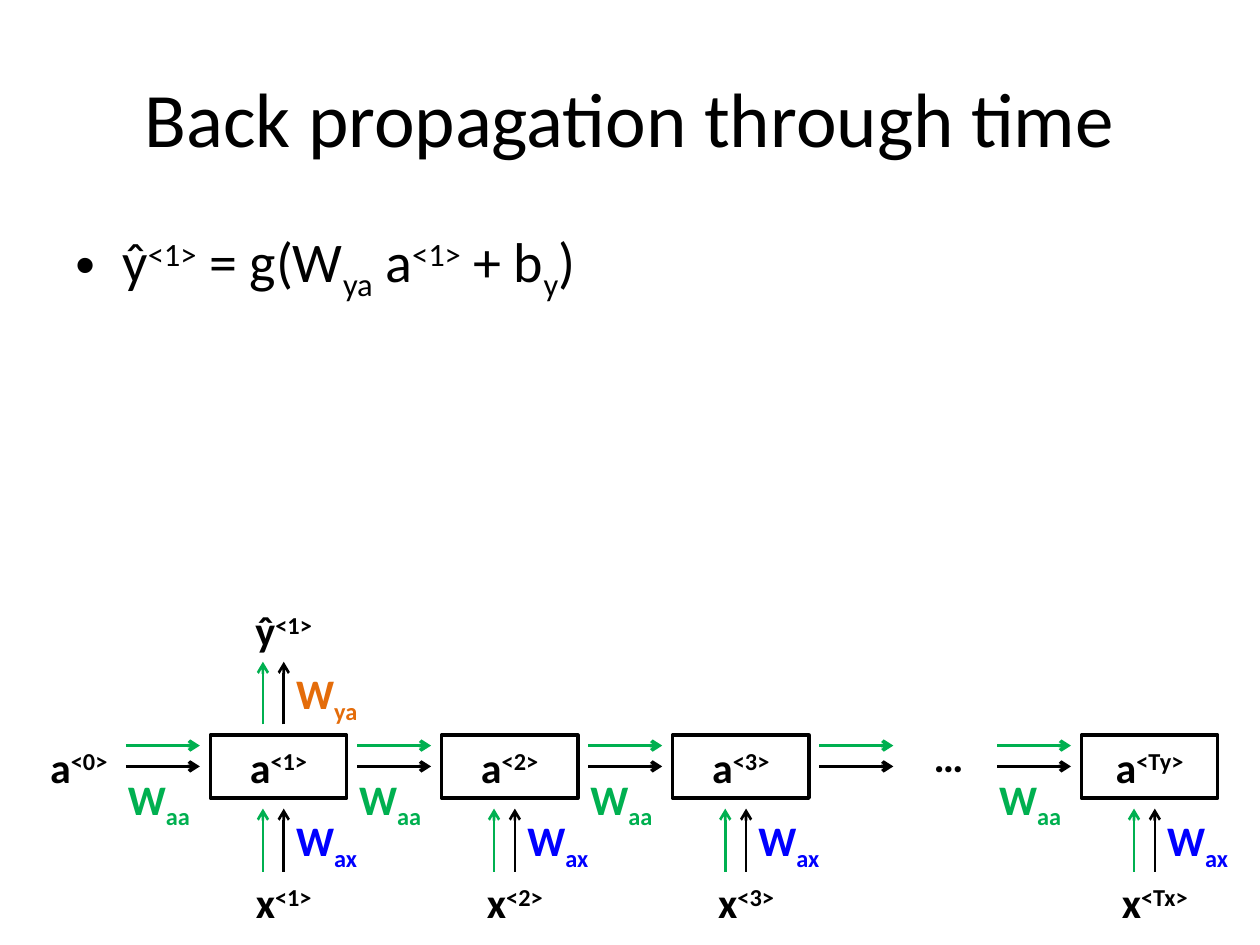
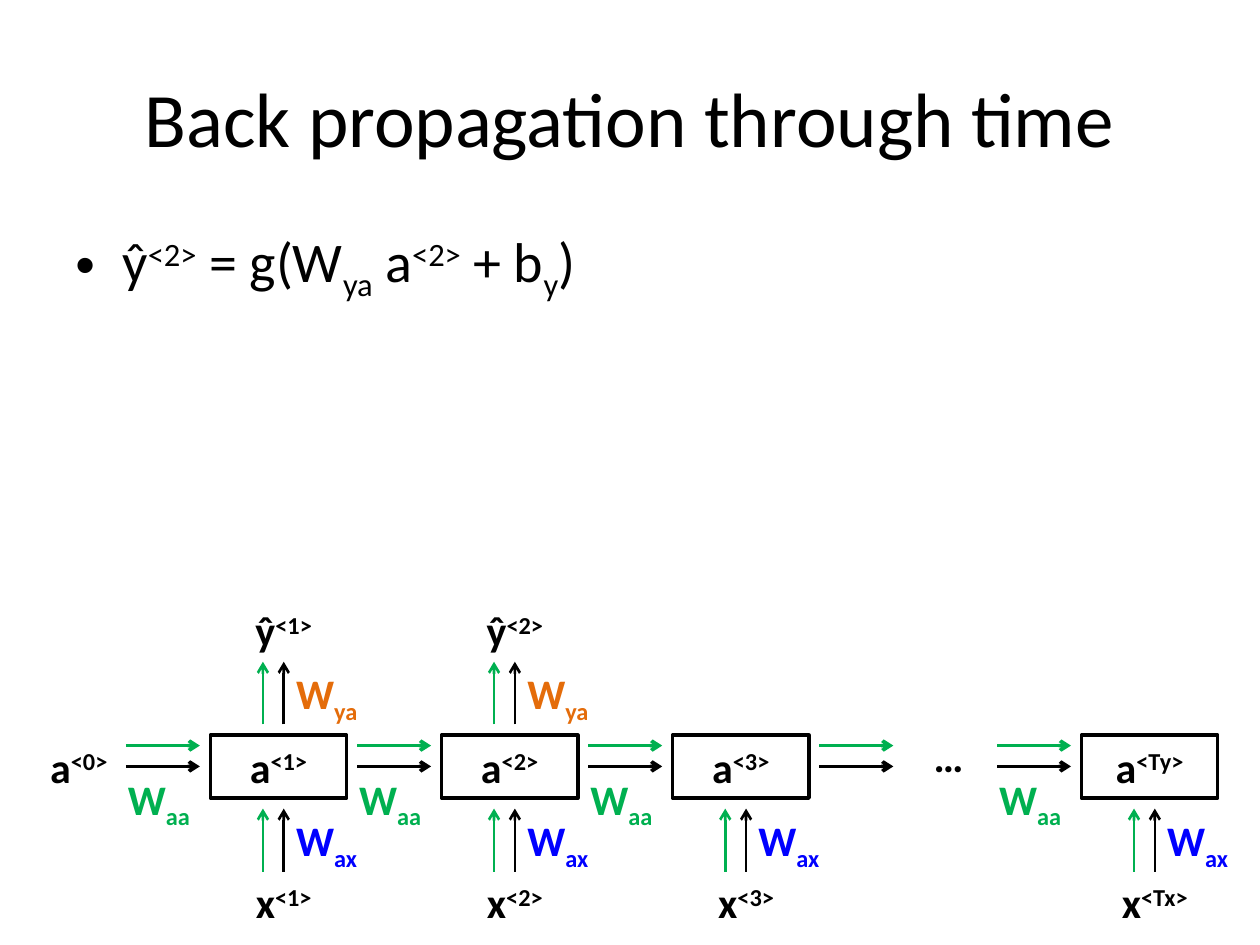
"""Build two slides on back propagation through time in a recurrent network."""
from lxml import etree
from pptx import Presentation
from pptx import util as u
from pptx.dml.color import RGBColor
from pptx.enum import shapes, text
from pptx.oxml import ns

TITLE = "Back propagation through time"
SLIDES = [{"step": "<1>", "outputs": 1}, {"step": "<2>", "outputs": 2}]
CELLS = [
    {"slot": 0, "state": "<1>", "input": "<1>"},
    {"slot": 1, "state": "<2>", "input": "<2>"},
    {"slot": 2, "state": "<3>", "input": "<3>"},
    {"slot": None, "state": "<Ty>", "input": "<Tx>"},
]
COLORS = {"ink": "000000", "forward": "00B050", "input": "0000FF", "output": "E46C0A"}
FONT = "Calibri"
SUPER, SUB = 30000, -25000

FIRST_AXIS, AXIS_STEP, LAST_AXIS = 5.72, 4.66, 23.28
LABEL_HEIGHT = 1.27
STATE_TOP, STATE_WIDTH = 14.82, 2.75
FLOW_TOP, FLOW_GAP = 15.03, 0.42
INPUT_FLOW, OUTPUT_FLOW = (17.57, 16.3), (14.6, 13.34)
INPUT_TOP, OUTPUT_TOP = 17.55, 12.07

CENTER, LEFT = text.PP_ALIGN.CENTER, text.PP_ALIGN.LEFT


def write(shape, runs, size, align, color="ink", bold=False):
    """Fill a shape's first paragraph with (text, baseline) runs."""
    frame = shape.text_frame
    frame.word_wrap = True
    paragraph = frame.paragraphs[0]
    paragraph.alignment = align
    for content, baseline in runs:
        run = paragraph.add_run()
        run.text = content
        run.font.name = FONT
        run.font.size = u.Pt(size)
        run.font.bold = bold
        run.font.color.rgb = RGBColor.from_string(COLORS[color])
        if baseline:
            run.font._element.set("baseline", str(baseline))
    return paragraph


def add_text(slide, left, top, width, height, runs, size, align, **style):
    """Add a text box and return its shape and paragraph."""
    shape = slide.shapes.add_textbox(u.Cm(left), u.Cm(top), u.Cm(width), u.Cm(height))
    return shape, write(shape, runs, size, align, **style)


def add_label(slide, left, top, width, runs, align=CENTER, color="ink"):
    """Add a bold diagram label."""
    shape, _ = add_text(slide, left, top, width, LABEL_HEIGHT, runs, 24, align,
                        color=color, bold=True)
    shape.text_frame.auto_size = text.MSO_AUTO_SIZE.SHAPE_TO_FIT_TEXT
    return shape


def add_weight(slide, left, top, index, color):
    """Add a coloured weight name such as W with a subscript."""
    add_label(slide, left, top, 1.9, [("W", 0), (index, SUB)], LEFT, color)


def add_arrow(slide, start, end, color, width):
    """Add a straight line with an open arrowhead at its end."""
    points = [u.Cm(value) for value in (*start, *end)]
    arrow = slide.shapes.add_connector(shapes.MSO_CONNECTOR.STRAIGHT, *points)
    arrow.line.color.rgb = RGBColor.from_string(COLORS[color])
    arrow.line.width = u.Pt(width)
    etree.SubElement(arrow.line._get_or_add_ln(), ns.qn("a:tailEnd"), type="arrow")
    etree.SubElement(arrow._element.spPr, ns.qn("a:effectLst"))


def add_upward_pair(slide, axis, flow):
    """Add the green and black arrows that rise along a cell's axis."""
    bottom, top = flow
    for x, color in ((axis, "ink"), (axis - FLOW_GAP, "forward")):
        add_arrow(slide, (x, bottom), (x, top), color, 1.5)


def add_sideways_pair(slide, axis):
    """Add the green and black arrows that lead to the cell at this axis."""
    for y, color in ((FLOW_TOP + FLOW_GAP, "ink"), (FLOW_TOP, "forward")):
        add_arrow(slide, (axis - 3.18, y), (axis - 1.69, y), color, 2)


def slot_axis(slot):
    """Return the axis of a numbered slot, or of the last cell for None."""
    return LAST_AXIS if slot is None else FIRST_AXIS + slot * AXIS_STEP


def add_cell(slide, cell, has_output):
    """Add one time step with its arrows, weights and labels."""
    axis = slot_axis(cell["slot"])
    state = slide.shapes.add_shape(
        shapes.MSO_SHAPE.RECTANGLE, u.Cm(axis - 1.48), u.Cm(STATE_TOP),
        u.Cm(STATE_WIDTH), u.Cm(LABEL_HEIGHT))
    state.shadow.inherit = False
    state.fill.background()
    state.line.color.rgb = RGBColor.from_string(COLORS["ink"])
    state.line.width = u.Pt(2)
    state.text_frame.vertical_anchor = text.MSO_ANCHOR.TOP
    state.text_frame.auto_size = text.MSO_AUTO_SIZE.SHAPE_TO_FIT_TEXT
    write(state, [("a", 0), (cell["state"], SUPER)], 24, CENTER, bold=True)

    add_sideways_pair(slide, axis)
    add_weight(slide, axis - 3.39, 15.46, "aa", "forward")
    add_upward_pair(slide, axis, INPUT_FLOW)
    add_weight(slide, axis, INPUT_FLOW[1], "ax", "input")
    add_label(slide, axis - 1.27, INPUT_TOP, 2.54, [("x", 0), (cell["input"], SUPER)])
    if has_output:
        add_upward_pair(slide, axis, OUTPUT_FLOW)
        add_weight(slide, axis, OUTPUT_FLOW[1], "ya", "output")
        add_label(slide, axis - 1.27, OUTPUT_TOP, 2.54, [("ŷ", 0), (cell["state"], SUPER)])


def add_heading(slide, step):
    """Add the title and the bulleted output equation."""
    title, _ = add_text(slide, 1.27, 0.76, 22.86, 3.18, [(TITLE, 0)], 44, CENTER)
    title.text_frame.vertical_anchor = text.MSO_ANCHOR.MIDDLE
    equation = [("ŷ", 0), (step, SUPER), (" = g(W", 0), ("ya", SUB), (" a", 0),
                (step, SUPER), (" + b", 0), ("y", SUB), (")", 0)]
    _, paragraph = add_text(slide, 1.27, 4.45, 22.86, 4.65, equation, 32,
                            text.PP_ALIGN.JUSTIFY)
    paragraph.space_before = u.Pt(6.4)
    properties = paragraph._p.get_or_add_pPr()
    properties.set("marL", str(u.Cm(0.95)))
    properties.set("indent", str(u.Cm(-0.95)))
    etree.SubElement(properties, ns.qn("a:buFont"), typeface="Arial")
    etree.SubElement(properties, ns.qn("a:buChar"), char="•")


def main():
    """Build and save the presentation."""
    presentation = Presentation()
    presentation.slide_width, presentation.slide_height = u.Cm(25.4), u.Cm(19.05)
    for content in SLIDES:
        slide = presentation.slides.add_slide(presentation.slide_layouts[6])
        add_heading(slide, content["step"])
        add_label(slide, 0.64, STATE_TOP, 1.9, [("a", 0), ("<0>", SUPER)])
        for number, cell in enumerate(CELLS):
            add_cell(slide, cell, number < content["outputs"])
        add_sideways_pair(slide, slot_axis(3))
        dots = add_label(slide, 18.57, 14.6, 1.12, [("…", 0)], LEFT)
        dots.text_frame.word_wrap = False
    presentation.save("out.pptx")


if __name__ == "__main__":
    main()
